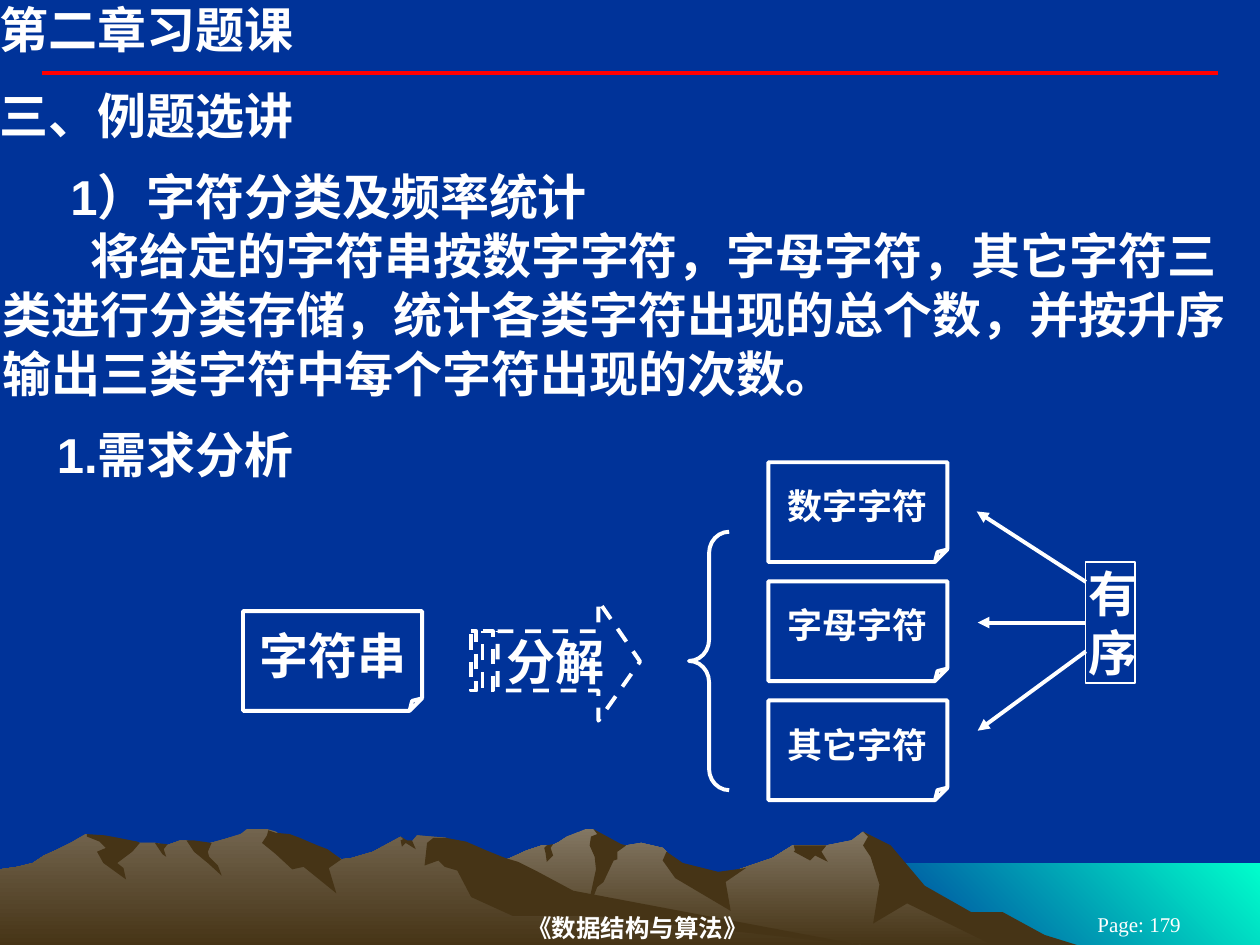
from dataclasses import dataclass

from lxml.etree import SubElement
from pptx import Presentation
from pptx.dml.color import RGBColor
from pptx.enum.dml import MSO_LINE
from pptx.enum.lang import MSO_LANGUAGE_ID
from pptx.enum.shapes import MSO_CONNECTOR, MSO_SHAPE
from pptx.enum.text import MSO_ANCHOR, PP_ALIGN
from pptx.oxml.ns import qn
from pptx.util import Cm, Pt


@dataclass(frozen=True)
class Theme:
    background: str = "003399"
    text: str = "FFFFFF"
    rule: str = "FF0000"
    water: tuple = ("00FFCC", "003399")
    far_hill: tuple = ("837763", "463416")
    near_hill: tuple = ("72644E", "463416")
    shade: str = "463416"
    sans: str = "Arial"
    serif: str = "Times New Roman"
    heading: int = 28
    label: int = 20
    footer: int = 14
    page_number: int = 12
    thick: float = 2.25
    thin: float = 0.75


THEME = Theme()
GRID = Cm(0.0254)  # one unit of the outline points below
WRAPPED = {"word_wrap": True, "vertical_anchor": MSO_ANCHOR.TOP}
CENTRED = {"word_wrap": False, "vertical_anchor": MSO_ANCHOR.MIDDLE}
TIGHT = (0.05, 0.03)
ROOMY = (0.25, 0.13)

FAR_HILL = [
    (802, 740), (778, 727), (764, 723), (723, 698), (702, 671), (685, 660), (676, 667),
    (656, 671), (629, 671), (613, 681), (566, 697), (536, 690), (529, 676), (526, 673),
    (509, 669), (497, 671), (486, 673), (474, 661), (471, 658), (465, 658), (450, 664),
    (444, 668), (438, 671), (430, 671), (418, 675), (405, 681), (394, 685), (355, 698),
    (327, 709), (277, 739), (258, 751), (821, 751)]
NEAR_HILL = [
    (690, 751), (667, 748), (432, 712), (354, 665), (331, 663), (327, 668), (323, 668),
    (318, 664), (296, 676), (279, 681), (271, 682), (260, 676), (236, 681), (223, 663),
    (219, 660), (212, 658), (196, 658), (191, 662), (178, 666), (160, 671), (148, 667),
    (143, 667), (132, 671), (123, 669), (111, 669), (94, 671), (68, 662), (56, 669),
    (46, 674), (35, 679), (26, 685), (14, 688), (0, 690), (0, 751)]
FAR_SHADES = [
    [(796, 724), (771, 724), (734, 703), (707, 671), (685, 660), (689, 664), (685, 671),
     (691, 680), (698, 702), (693, 733), (720, 717), (792, 752), (858, 751), (829, 742)],
    [(471, 658), (474, 662), (469, 664), (468, 671), (472, 680), (473, 690), (465, 727),
     (474, 704), (479, 700), (487, 683), (490, 682), (490, 676), (497, 671), (493, 670)],
    [(529, 676), (526, 683), (536, 697), (580, 723), (576, 700), (592, 689), (570, 692),
     (542, 685)],
    [(650, 671), (630, 671), (631, 675), (630, 676), (643, 683), (647, 679), (657, 684),
     (652, 676), (656, 671)],
    [(433, 677), (432, 673), (434, 671), (439, 670), (437, 673), (439, 679), (434, 684)]]
NEAR_SHADES = [
    [(212, 663), (208, 669), (219, 678), (232, 690), (241, 688), (267, 709), (261, 689),
     (271, 682), (260, 674), (252, 671), (238, 665), (230, 662), (219, 661), (213, 659)],
    [(370, 668), (354, 665), (344, 665), (339, 669), (337, 687), (348, 683), (353, 688),
     (363, 691), (374, 712), (407, 727), (472, 727), (690, 751), (683, 750), (455, 707),
     (427, 692), (411, 684), (401, 681), (386, 675)],
    [(318, 667), (320, 666), (318, 664), (323, 667), (327, 667), (330, 674), (322, 669),
     (319, 672)],
    [(154, 667), (168, 669), (165, 676), (166, 680), (173, 687), (176, 695), (165, 685),
     (154, 676), (148, 667)],
    [(133, 670), (130, 674), (132, 680), (129, 678), (123, 669)],
    [(109, 668), (111, 669), (105, 676), (93, 685), (98, 689), (100, 698), (82, 685),
     (77, 676), (84, 673), (79, 668), (69, 664), (69, 662), (83, 663), (94, 665)]]
ARROW = [
    [(395, 501), (475, 501), (475, 477), (508, 525), (475, 572), (475, 548), (395, 548)],
    [(374, 501), (378, 501), (378, 548), (374, 548)],
    [(383, 501), (391, 501), (391, 548), (383, 548)]]


def rgb(value):
    return RGBColor.from_string(value)


def apply(target, values):
    for name, value in values.items():
        setattr(target, name, value)


def paint(shape, fill=None, line=None, width=THEME.thick, angle=270):
    """Fill with nothing, one colour, or a pair of gradient colours; then outline."""
    shape.shadow.inherit = False
    if fill is None:
        shape.fill.background()
    elif isinstance(fill, tuple):
        shape.fill.gradient()
        shape.fill.gradient_angle = angle
        for stop, colour in zip(shape.fill.gradient_stops, fill):
            stop.color.rgb = rgb(colour)
    else:
        shape.fill.solid()
        shape.fill.fore_color.rgb = rgb(fill)
    if line:
        shape.line.color.rgb = rgb(line)
        shape.line.width = Pt(width)
    else:
        shape.line.fill.background()


def write(shape, lines, size, layout=WRAPPED, inset=TIGHT, align=PP_ALIGN.LEFT,
          bold=True, face=THEME.sans):
    """Write (text, first-line indent in cm) pairs as paragraphs."""
    frame = shape.text_frame
    across, down = Cm(inset[0]), Cm(inset[1])
    apply(frame, layout | {"margin_left": across, "margin_right": across,
                           "margin_top": down, "margin_bottom": down})
    for index, (text, indent) in enumerate(lines):
        para = frame.add_paragraph() if index else frame.paragraphs[0]
        para.alignment = align
        if indent:
            para._p.get_or_add_pPr().set("indent", str(Cm(indent)))
        span = para.add_run()
        span.text = text
        apply(span.font, {"name": face, "size": Pt(size), "bold": bold,
                          "language_id": MSO_LANGUAGE_ID.SIMPLIFIED_CHINESE})
        span.font.color.rgb = rgb(THEME.text)


def add_text(page, place, lines, size, **options):
    write(page.shapes.add_textbox(*map(Cm, place)), lines, size, **options)


def add_preset(page, kind, place, guides=None, **look):
    """Add a preset shape; guides maps its adjustment names to 1/100000 values."""
    shape = page.shapes.add_shape(kind, *map(Cm, place))
    if guides:
        values = shape._element.spPr.find(f"{qn('a:prstGeom')}/{qn('a:avLst')}")
        values.clear()
        for name, value in guides.items():
            SubElement(values, qn("a:gd"), name=name, fmla=f"val {value}")
    paint(shape, **look)
    return shape


def add_outline(page, contours, **look):
    builder = page.shapes.build_freeform(*contours[0][0], scale=GRID)
    for index, points in enumerate(contours):
        if index:
            builder.move_to(*points[0])
        builder.add_line_segments(points[1:], close=True)
    shape = builder.convert_to_shape()
    paint(shape, **look)
    return shape


def add_card(page, left, top, text, size):
    card = add_preset(page, MSO_SHAPE.FOLDED_CORNER, (left, top, 3.61, 2.01),
                      {"adj": 12500}, fill=THEME.background, line=THEME.text)
    write(card, [(text, 0)], size, CENTRED, ROOMY, PP_ALIGN.CENTER)


def add_line(page, start, end, colour, arrow=False):
    line = page.shapes.add_connector(MSO_CONNECTOR.STRAIGHT, *map(Cm, start + end))
    line.line.color.rgb = rgb(colour)
    line.line.width = Pt(THEME.thick)
    if arrow:
        SubElement(line.line._get_or_add_ln(), qn("a:tailEnd"), type="triangle")
    SubElement(line._element.spPr, qn("a:effectLst"))
    return line


def add_scenery(page):
    add_preset(page, MSO_SHAPE.RECTANGLE, (17.35, 17.4, 8.05, 1.65),
               fill=THEME.water, angle=225)
    for hill, colours, shades in ((FAR_HILL, THEME.far_hill, FAR_SHADES),
                                  (NEAR_HILL, THEME.near_hill, NEAR_SHADES)):
        add_outline(page, [hill], fill=colours)
        for shade in shades:
            add_outline(page, [shade], fill=THEME.shade)
    add_line(page, (0.84, 1.47), (24.56, 1.47), THEME.rule)
    footer = {"layout": CENTRED | {"word_wrap": True}, "align": PP_ALIGN.CENTER,
              "face": THEME.serif}
    add_text(page, (5.16, 18.34, 15.39, 0.71), [("《数据结构与算法》", 0)],
             THEME.footer, inset=(0, 0.03), **footer)
    add_text(page, (20.96, 18.42, 4.01, 0.43), [("Page: 179", 0)],
             THEME.page_number, inset=ROOMY, bold=False, **footer)


def add_diagram(page):
    add_card(page, 4.9, 12.32, "字符串", THEME.heading)
    arrow = add_outline(page, ARROW, fill=THEME.background, line=THEME.text)
    arrow.line.dash_style = MSO_LINE.DASH
    write(arrow, [("分解", 0)], THEME.heading, CENTRED, ROOMY, PP_ALIGN.CENTER)
    for row, text in enumerate(("数字字符", "字母字符", "其它字符")):
        add_card(page, 15.49, 9.32 + row * 2.4, text, THEME.label)
    add_preset(page, MSO_SHAPE.LEFT_BRACE, (13.89, 10.72, 0.81, 5.21),
               {"adj1": 53000, "adj2": 50000}, line=THEME.text)
    order = add_preset(page, MSO_SHAPE.RECTANGLE, (21.89, 11.33, 0.99, 2.44),
                       line=THEME.text, width=THEME.thin)
    write(order, [("有序", 0)], THEME.heading)
    middle = add_line(page, (21.89, 12.55), (19.71, 12.55), THEME.text, arrow=True)
    middle.begin_connect(order, 1)
    add_line(page, (21.89, 13.13), (19.71, 14.73), THEME.text, arrow=True)
    add_line(page, (21.89, 11.73), (19.69, 10.31), THEME.text, arrow=True)


def main():
    deck = Presentation()
    apply(deck, {"slide_width": Cm(25.4), "slide_height": Cm(19.05)})
    page = deck.slides.add_slide(deck.slide_layouts[6])
    page.background.fill.solid()
    page.background.fill.fore_color.rgb = rgb(THEME.background)
    add_scenery(page)
    add_text(page, (0, 0, 16.51, 1.19), [("第二章习题课", 0)], THEME.heading, inset=(0, 0))
    add_text(page, (0, 3.33, 25.4, 4.8), [
        ("1）字符分类及频率统计", 1.37),
        ("将给定的字符串按数字字符，字母字符，其它字符三类进行分类存储，"
         "统计各类字符出现的总个数，并按升序输出三类字符中每个字符出现的次数。", 1.78),
    ], THEME.heading)
    add_text(page, (0, 1.73, 24.31, 1.19), [("三、例题选讲", 0)], THEME.heading, inset=(0, 0))
    add_text(page, (0, 8.53, 25.4, 1.24), [("1.需求分析", 1.1)], THEME.heading)
    add_diagram(page)
    deck.save("out.pptx")


if __name__ == "__main__":
    main()
